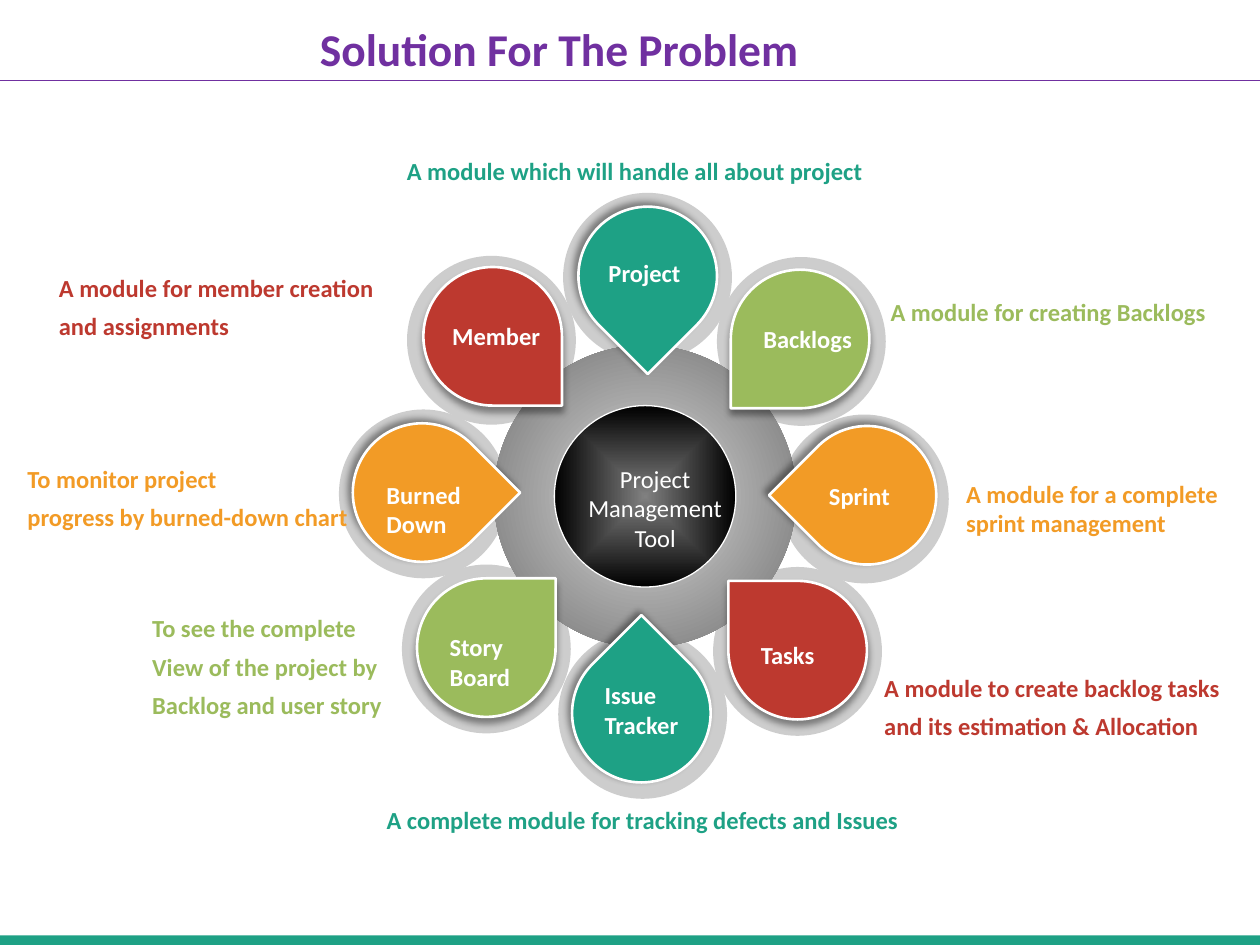
from dataclasses import dataclass
from typing import Optional

from lxml.etree import SubElement
from pptx import Presentation
from pptx.dml.color import RGBColor
from pptx.enum.shapes import MSO_CONNECTOR, MSO_SHAPE
from pptx.enum.text import MSO_ANCHOR, PP_ALIGN
from pptx.oxml import parse_xml
from pptx.oxml.ns import nsdecls, qn
from pptx.util import Pt

COLORS = {
    "teal": "1EA185", "green": "9BBB5C", "orange": "F29B26", "red": "BD392F",
    "purple": "7030A0", "halo": "CDCDCD", "white": "FFFFFF", "black": "000000",
    "ring_light": "D9D9D9", "ring_dark": "7C7C7C", "hub_light": "808080",
}
FONT = "Calibri"
HALO_SIZE = 96.5
DROP_SIZE = 79.2


@dataclass
class Frame:
    left: float
    top: float
    width: float
    height: float

    def lengths(self) -> tuple:
        return Pt(self.left), Pt(self.top), Pt(self.width), Pt(self.height)


@dataclass
class Petal:
    color: str
    halo: tuple
    drop: tuple
    label: str
    label_frame: Frame
    caption: str
    caption_frame: Frame
    wrap: bool = False


PETALS = [
    Petal("teal", (321.8, 110.2), (330.5, 118.1), "Project", Frame(340.6, 144, 56.2, 24.5),
          "A module which will handle all about project", Frame(225.4, 85.7, 276.5, 24.5)),
    Petal("green", (409.7, 146.9), (417.6, 154.1), "Backlogs", Frame(429.1, 181.4, 65.5, 24.5),
          "A module for creating Backlogs", Frame(501.8, 166.3, 195.8, 24.5)),
    Petal("orange", (445.7, 236.9), (455.8, 243.4), "Sprint", Frame(466.6, 271.4, 49.7, 24.5),
          "A module for a complete sprint management", Frame(545, 270, 177.8, 41), True),
    Petal("red", (407.5, 324), (416.2, 331.9), "Tasks", Frame(427.7, 362.2, 45.4, 24.5),
          "A module to create backlog tasks\nand its estimation & Allocation",
          Frame(498.2, 380.9, 210.2, 46.1)),
    Petal("teal", (319, 360), (326.9, 367.9), "Issue\nTracker", Frame(338.4, 385.2, 56.9, 41),
          "A complete module for tracking defects and Issues",
          Frame(213.8, 456.5, 315.4, 24.5)),
    Petal("green", (229.7, 322.6), (238.3, 330.5), "Story\nBoard", Frame(249.8, 357.8, 49.7, 41),
          "To see the complete\nView of the project by\nBacklog and user story",
          Frame(79.9, 347, 149.8, 68.4)),
    Petal("orange", (193.7, 234), (201.6, 241.9), "Burned\nDown", Frame(213.8, 270.7, 57.6, 41),
          "To monitor project\nprogress by burned-down chart", Frame(8.6, 261.4, 204.5, 46.1)),
    Petal("red", (232.6, 146.2), (241.9, 152.6), "Member", Frame(251.3, 180, 64.8, 24.5),
          "A module for member creation\nand assignments", Frame(26.6, 152.6, 198.7, 46.1)),
]


def color_of(name: str) -> RGBColor:
    return RGBColor.from_string(COLORS[name])


def add_figure(page, kind, frame: Frame, fill: Optional[str] = None,
               line: Optional[str] = None, weight: float = 0):
    shape = page.shapes.add_shape(kind, *frame.lengths())
    shape.shadow.inherit = False
    if fill:
        shape.fill.solid()
        shape.fill.fore_color.rgb = color_of(fill)
    else:
        shape.fill.background()
    if line:
        shape.line.color.rgb = color_of(line)
        shape.line.width = Pt(weight)
    else:
        shape.line.fill.background()
    return shape


def set_radial_fill(shape, inner: str, outer: str, end: int, form: str) -> None:
    gradient = parse_xml(
        f'<a:gradFill {nsdecls("a")} rotWithShape="1"><a:gsLst>'
        f'<a:gs pos="0"><a:srgbClr val="{COLORS[inner]}"/></a:gs>'
        f'<a:gs pos="{end * 1000}"><a:srgbClr val="{COLORS[outer]}"/></a:gs></a:gsLst>'
        f'<a:path path="{form}"><a:fillToRect l="50000" t="50000" r="50000" b="50000"/>'
        '</a:path></a:gradFill>')
    properties = shape._element.spPr
    properties.replace(properties.find(qn("a:noFill")), gradient)


def set_shadow(shape, direction: int) -> None:
    effects = shape._element.spPr.find(qn("a:effectLst"))
    shadow = SubElement(effects, qn("a:outerShdw"), blurRad=str(Pt(4)), dist=str(Pt(3)),
                        dir=str(direction * 60000), algn="ctr", rotWithShape="0")
    tint = SubElement(shadow, qn("a:srgbClr"), val=COLORS["black"])
    SubElement(tint, qn("a:alpha"), val="40000")


def style_paragraph(para, color: str, size: float, bold: bool) -> None:
    para.font.name = FONT
    para.font.size = Pt(size)
    para.font.bold = bold
    para.font.color.rgb = color_of(color)


def add_text(page, frame: Frame, text: str, color: str, bold: bool = True,
             align=PP_ALIGN.LEFT, wrap: bool = False, spaced: bool = False) -> None:
    box = page.shapes.add_textbox(*frame.lengths())
    box.text_frame.word_wrap = wrap
    box.text_frame.text = text
    for index, para in enumerate(box.text_frame.paragraphs):
        para.alignment = align
        if spaced:
            para.space_before = Pt(3 if index else 0)
            para.space_after = Pt(2)
        style_paragraph(para, color, 14, bold)


def add_title(page) -> None:
    title = page.shapes.title
    title.left, title.top, title.width, title.height = Frame(9.4, 12.2, 620.6, 34.6).lengths()
    title.text_frame.text = "Solution For The Problem"
    title.text_frame.vertical_anchor = MSO_ANCHOR.MIDDLE
    para = title.text_frame.paragraphs[0]
    para.alignment = PP_ALIGN.CENTER
    para.line_spacing = 0.9
    style_paragraph(para, "purple", 26, True)
    rule = page.shapes.add_connector(MSO_CONNECTOR.STRAIGHT, Pt(0), Pt(46), Pt(720), Pt(46))
    rule.line.color.rgb = color_of("purple")
    rule.line.width = Pt(0.5)
    SubElement(rule._element.spPr, qn("a:effectLst"))


def add_hub(page) -> None:
    ring = add_figure(page, MSO_SHAPE.OVAL, Frame(282.2, 197.3, 172.8, 172.8))
    set_radial_fill(ring, "ring_light", "ring_dark", 88, "circle")
    core = add_figure(page, MSO_SHAPE.OVAL, Frame(316.8, 231.8, 103.7, 103.7),
                      line="white", weight=0.75)
    set_radial_fill(core, "hub_light", "black", 100, "shape")
    add_text(page, Frame(326.9, 261.4, 95, 58.3), "Project\nManagement\nTool", "white",
             bold=False, align=PP_ALIGN.CENTER)


def add_drop(page, petal: Petal, index: int) -> None:
    drop = add_figure(page, MSO_SHAPE.TEAR, Frame(*petal.drop, DROP_SIZE, DROP_SIZE),
                      petal.color, "white", 1.5)
    drop.rotation = (135 + 45 * index) % 360
    set_shadow(drop, 90 if index % 2 else 225)


def main() -> None:
    deck = Presentation()
    deck.slide_width, deck.slide_height = Pt(720), Pt(540)
    page = deck.slides.add_slide(deck.slide_layouts[5])
    add_figure(page, MSO_SHAPE.RECTANGLE, Frame(0, 534.5, 720, 5.5), "teal")
    for petal in PETALS:
        add_figure(page, MSO_SHAPE.OVAL, Frame(*petal.halo, HALO_SIZE, HALO_SIZE), "halo")
    add_hub(page)
    for index, petal in enumerate(PETALS):
        add_drop(page, petal, index)
    for petal in PETALS:
        add_text(page, petal.label_frame, petal.label, "white")
        add_text(page, petal.caption_frame, petal.caption, petal.color,
                 wrap=petal.wrap, spaced=True)
    add_title(page)
    deck.save("out.pptx")


if __name__ == "__main__":
    main()
